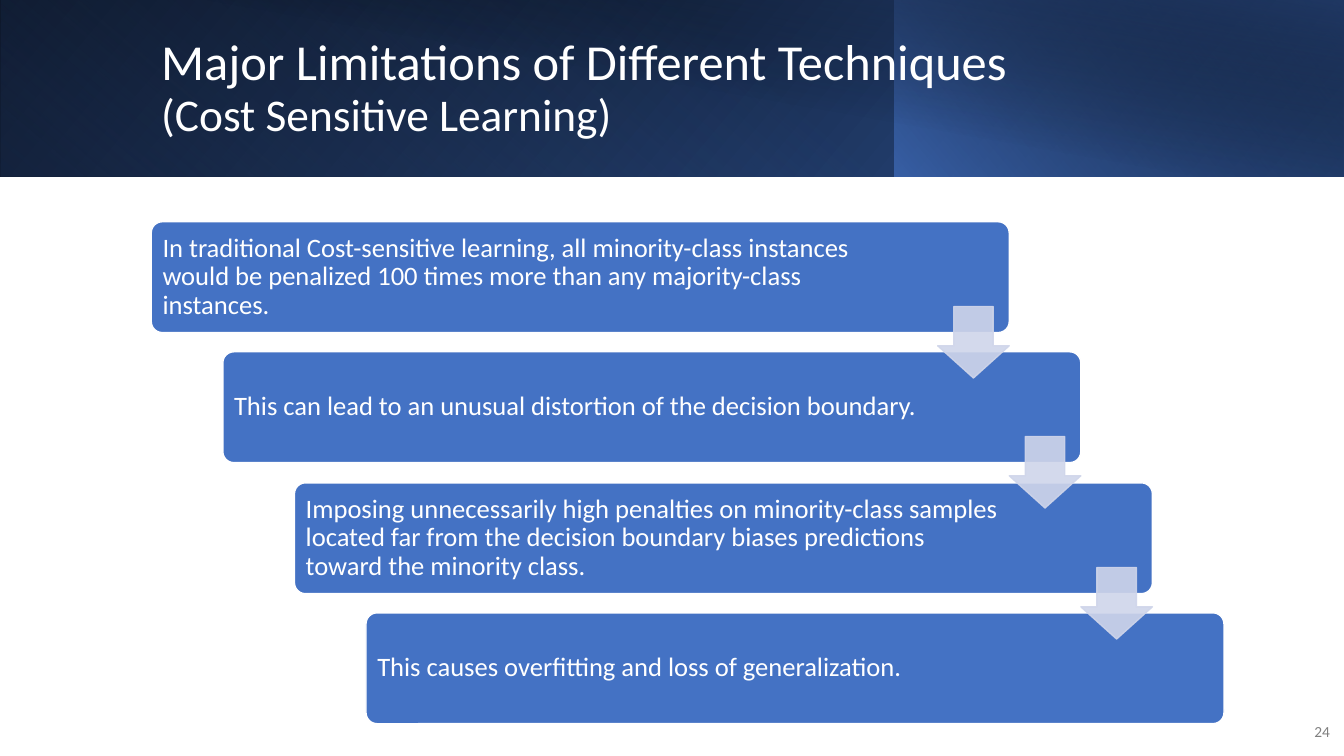
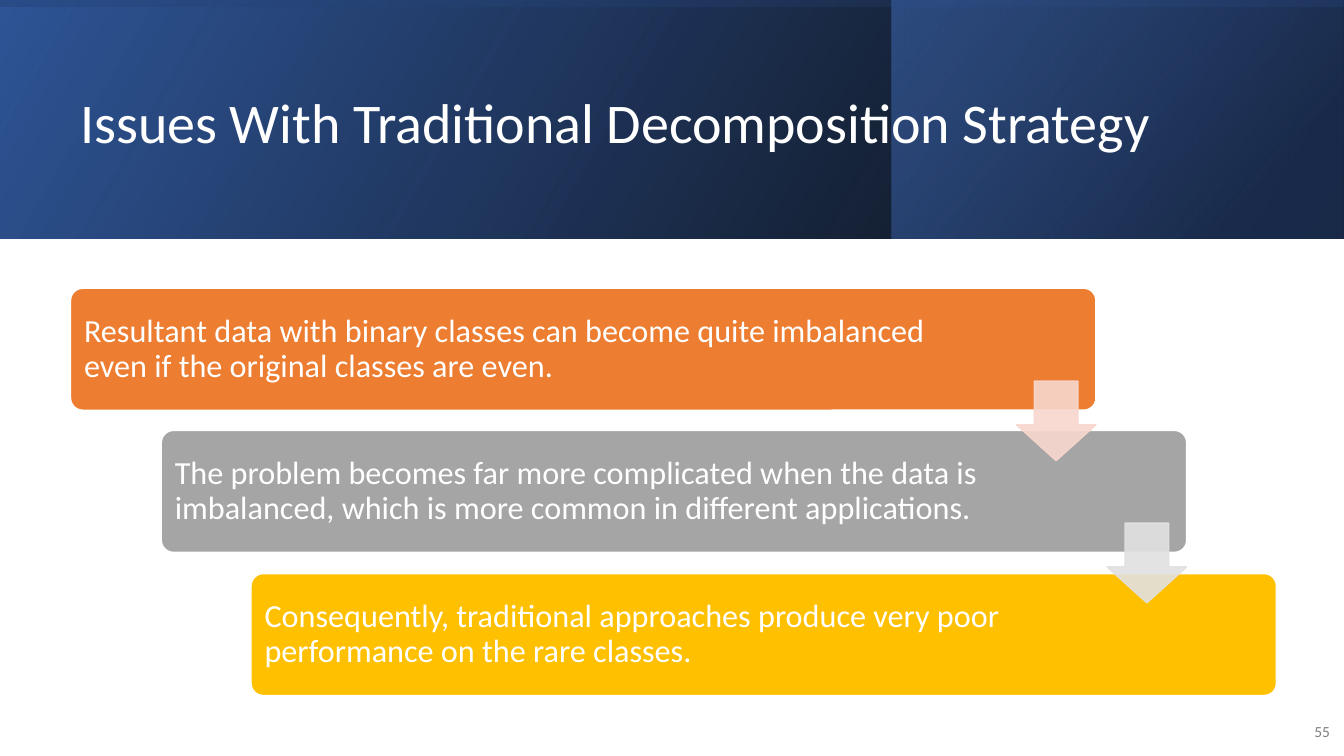
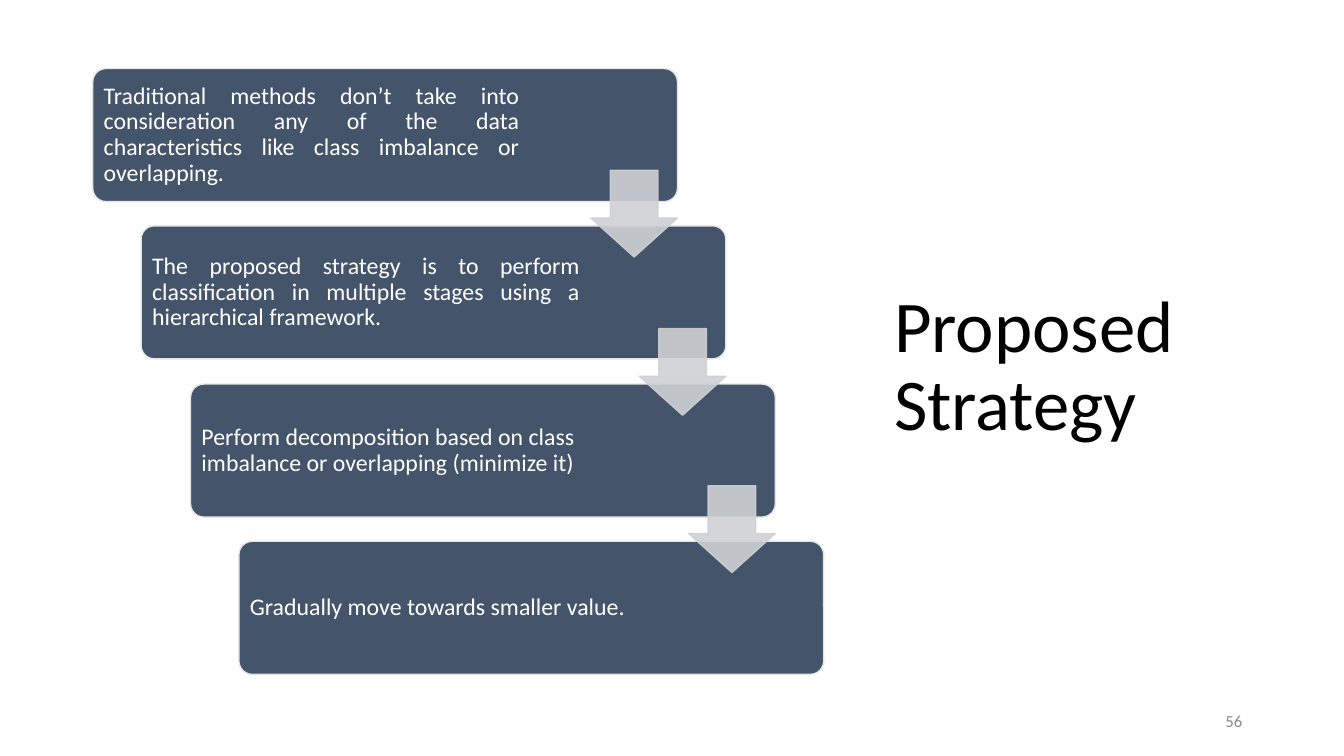
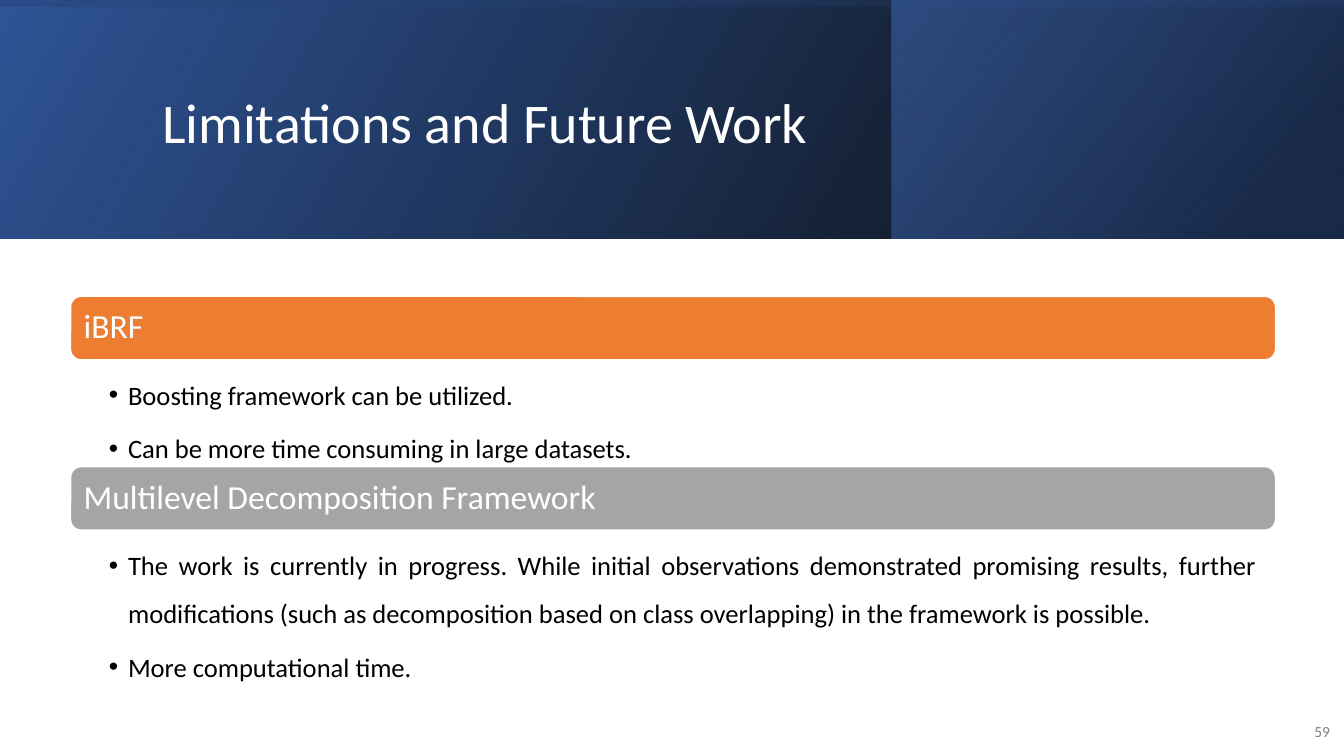
from lxml import etree
from pptx import Presentation
from pptx.dml.color import RGBColor
from pptx.enum.shapes import MSO_SHAPE
from pptx.enum.text import MSO_ANCHOR, PP_ALIGN
from pptx.oxml.ns import qn
from pptx.util import Inches, Pt

RECT, ROUNDED, ARROW = MSO_SHAPE.RECTANGLE, MSO_SHAPE.ROUNDED_RECTANGLE, MSO_SHAPE.DOWN_ARROW
TOP, MIDDLE = MSO_ANCHOR.TOP, MSO_ANCHOR.MIDDLE
LEFT, RIGHT, JUSTIFY = PP_ALIGN.LEFT, PP_ALIGN.RIGHT, PP_ALIGN.JUSTIFY

FONT = "Calibri"
WHITE, BLACK, GREY = "FFFFFF", "000000", "808080"
BLUE, DEEP_BLUE, NAVY = "4472C4", "2F5597", "203864"
ORANGE, SILVER, GOLD = "ED7D31", "A5A5A5", "FFC000"
SLATE, PALE_GREY = "44546A", "E7E6E6"
PAGE_WIDTH, PAGE_HEIGHT = 13.33, 7.5
CORNER_INSET = 0.29

LOW_BAND = (0, 0, PAGE_WIDTH, 1.75)
TALL_BAND = (0, 0, PAGE_WIDTH, 2.37)
LOW_LAYERS = [
    (0, PAGE_WIDTH, 0, True, 140, [(0, BLACK, 100), (100, DEEP_BLUE, 100)]),
    (0, 8.88, 180, True, 230, [(20, BLUE, 0), (100, NAVY, 55)]),
    (8.87, 4.46, 0, True, 220, [(0, BLUE, 66), (100, BLACK, 30)]),
    (0.5, 12.83, 0, False, 280, [(50, BLACK, 0), (99, NAVY, 52)]),
]
TALL_LAYERS = [
    (0, PAGE_WIDTH, 0, True, 330, [(0, BLACK, 96), (100, DEEP_BLUE, 100)]),
    (8.84, 4.48, 0, True, 320, [(19, NAVY, 68), (100, BLUE, 48)]),
    (0, PAGE_WIDTH, 270, True, 350, [(23, DEEP_BLUE, 16), (99, BLACK, 45)]),
]
CORNER_NUMBER = (12.8, 7.06, 0.49, 0.4)


def rgb(colour):
    """Turn a hex string into a colour."""
    return RGBColor.from_string(colour)


def inches(box):
    """Turn a box of numbers into lengths."""
    return [Inches(round(side, 2)) for side in box]


def set_alphas(shape, alphas):
    """Give the shape's colours, in order, their opacity in percent."""
    for colour, alpha in zip(shape.element.spPr.iter(qn("a:srgbClr")), alphas):
        if alpha < 100:
            etree.SubElement(colour, qn("a:alpha")).set("val", str(alpha * 1000))


def add_block(slide, kind, box, fill, line):
    """Add a solid preset shape with an outline."""
    block = slide.shapes.add_shape(kind, *inches(box))
    block.shadow.inherit = False
    block.fill.solid()
    block.fill.fore_color.rgb = rgb(fill)
    block.line.color.rgb = rgb(line)
    block.line.width = Pt(1)
    return block


def set_frame(shape, anchor, insets):
    """Set wrapping, anchor and left, top, right, bottom insets."""
    frame = shape.text_frame
    frame.word_wrap = True
    frame.vertical_anchor = anchor
    (frame.margin_left, frame.margin_top,
     frame.margin_right, frame.margin_bottom) = inches(insets)
    return frame


def add_run(paragraph, text, size, colour):
    """Append one styled run."""
    run = paragraph.add_run()
    run.text = text
    run.font.name = FONT
    run.font.size = Pt(size)
    run.font.color.rgb = rgb(colour)


def write_line(frame, text, size, colour, align=LEFT):
    """Write the single paragraph of a frame."""
    paragraph = frame.paragraphs[0]
    paragraph.alignment = align
    paragraph.line_spacing = 0.9
    add_run(paragraph, text, size, colour)


def add_band(slide, box, layers):
    """Stack translucent gradient layers into a header band."""
    left, top, _, height = box
    for offset, width, turn, flipped, angle, stops in layers:
        x, y, w, h = left + offset, top, width, height
        if turn == 270:
            x, y, w, h = x + (w - h) / 2, y + (h - w) / 2, h, w
        layer = slide.shapes.add_shape(RECT, *inches((x, y, w, h)))
        layer.shadow.inherit = False
        layer.line.fill.background()
        layer.rotation = turn
        if flipped:
            layer.element.spPr.find(qn("a:xfrm")).set("flipH", "1")
        layer.fill.gradient()
        layer.fill.gradient_angle = 360 - angle
        for stop, (position, colour, _) in zip(layer.fill.gradient_stops, stops):
            stop.position = position / 100
            stop.color.rgb = rgb(colour)
        set_alphas(layer, [alpha for _, _, alpha in stops])


def add_title(slide, box, lines, colour=WHITE):
    """Write a title from (text, size) lines."""
    title = slide.shapes.add_textbox(*inches(box))
    paragraph = set_frame(title, MIDDLE, (0.1, 0.05, 0.1, 0.05)).paragraphs[0]
    paragraph.line_spacing = 0.9
    for index, (text, size) in enumerate(lines):
        if index:
            paragraph.add_line_break()
        add_run(paragraph, text, size, colour)


def add_page_number(slide, number, box=CORNER_NUMBER, size=11, colour=GREY):
    """Write the page number at the right of its box."""
    label = slide.shapes.add_textbox(*inches(box))
    paragraph = set_frame(label, MIDDLE, (0.1, 0.05, 0.1, 0.05)).paragraphs[0]
    paragraph.alignment = RIGHT
    add_run(paragraph, number, size, colour)


def add_staircase(slide, box, share, steps, arrows, size, pad, line=WHITE):
    """Descend (text, text width, fill, align) steps joined by arrows."""
    left, top, total_width, total_height = box
    width, height = total_width * share[0], total_height * share[1]
    gaps = len(steps) - 1
    shift, drop = (total_width - width) / gaps, (total_height - height) / gaps
    corner = 0.1 * CORNER_INSET * height
    for index, (text, text_width, fill, align) in enumerate(steps):
        place = (left + index * shift, top + index * drop, width, height)
        step = add_block(slide, ROUNDED, place, fill, line)
        step.adjustments[0] = 0.1
        right_inset = width - 2 * corner - text_width + pad
        frame = set_frame(step, MIDDLE, (pad, pad, right_inset, pad))
        write_line(frame, text, size, WHITE, align)
    side = 0.65 * height
    for index, colour in enumerate(arrows):
        x = left + index * shift + width - side
        y = top + index * drop + (height + drop - side) / 2
        arrow = add_block(slide, ARROW, (x, y, side, side), colour, colour)
        arrow.adjustments[0], arrow.adjustments[1] = 0.55, 0.45
        set_alphas(arrow, [90, 90])


def add_topic(slide, box, heading, fill, points):
    """Place a heading bar with bulleted points below it."""
    left, top, width, height = box
    bar_height = 0.63
    bar = add_block(slide, ROUNDED, (left, top, width, bar_height), fill, WHITE)
    write_line(set_frame(bar, MIDDLE, (0.1, 0.1, 0.1, 0.1)), heading, 24, WHITE)
    body = slide.shapes.add_textbox(
        *inches((left, top + bar_height, width, height - bar_height)))
    frame = set_frame(body, TOP, (0.38, 0.03, 0.19, 0.03))
    for index, point in enumerate(points):
        paragraph = frame.add_paragraph() if index else frame.paragraphs[0]
        paragraph.alignment = JUSTIFY
        paragraph.line_spacing = 1.5
        paragraph.space_after = Pt(4)
        properties = paragraph._p.get_or_add_pPr()
        properties.set("marL", str(Inches(0.19)))
        properties.set("indent", str(-Inches(0.19)))
        etree.SubElement(properties, qn("a:buFont")).set("typeface", "Arial")
        etree.SubElement(properties, qn("a:buChar")).set("char", "•")
        add_run(paragraph, point, 19, BLACK)


def build_cost_sensitive(slide):
    """Limitations of cost sensitive learning."""
    add_band(slide, LOW_BAND, LOW_LAYERS)
    add_title(slide, (1.5, 0.32, 10.82, 1.13),
              [("Major Limitations of Different Techniques", 36),
               ("(Cost Sensitive Learning)", 32.4)])
    steps = [
        ("In traditional Cost-sensitive learning, all minority-class instances would be "
         "penalized 100 times more than any majority-class instances.", 7.23, BLUE, LEFT),
        ("This can lead to an unusual distortion of the decision boundary.",
         7.02, BLUE, LEFT),
        ("Imposing unnecessarily high penalties on minority-class samples located far from "
         "the decision boundary biases predictions toward the minority class.",
         7.03, BLUE, LEFT),
        ("This causes overfitting and loss of generalization.", 7.02, BLUE, LEFT),
    ]
    add_staircase(slide, (1.5, 2.2, 10.64, 4.98), (0.8, 0.22), steps,
                  ["CFD5EA"] * 3, 19, 0.08)
    add_page_number(slide, "24")


def build_decomposition_issues(slide):
    """Issues with the traditional decomposition strategy."""
    add_band(slide, TALL_BAND, TALL_LAYERS)
    add_title(slide, (0.7, 0.38, 11.44, 1.72),
              [("Issues With Traditional Decomposition Strategy", 40)])
    add_page_number(slide, "55")
    steps = [
        ("Resultant data with binary classes can become quite imbalanced even if the "
         "original classes are even.", 8.85, ORANGE, LEFT),
        ("The problem becomes far more complicated when the data is imbalanced, which is "
         "more common in different applications.", 8.4, SILVER, LEFT),
        ("Consequently, traditional approaches produce very poor performance on the rare "
         "classes.", 8.4, GOLD, LEFT),
    ]
    add_staircase(slide, (0.7, 2.86, 11.96, 4.04), (0.85, 0.3), steps,
                  ["F8D7CE", "E1E1E1"], 23, 0.1)


def build_proposed_strategy(slide):
    """The proposed strategy in four steps."""
    add_title(slide, (8.77, 0.6, 3.65, 6.1), [("Proposed Strategy", 52)], BLACK)
    add_page_number(slide, "56", (9.42, 6.95, 3, 0.4), 12, "8C8C8C")
    steps = [
        ("Traditional methods don’t take into consideration any of the data "
         "characteristics like class imbalance or overlapping.", 4.26, SLATE, JUSTIFY),
        ("The proposed strategy is to perform classification in multiple stages using a "
         "hierarchical framework.", 4.38, SLATE, JUSTIFY),
        ("Perform decomposition based on class imbalance or overlapping (minimize it)",
         4.38, SLATE, LEFT),
        ("Gradually move towards smaller value.", 4.38, SLATE, LEFT),
    ]
    add_staircase(slide, (0.92, 0.68, 7.25, 6.01), (0.8, 0.22), steps,
                  ["CFD1D4"] * 3, 17, 0.07, PALE_GREY)


def build_future_work(slide):
    """Limitations and future work by topic."""
    add_band(slide, TALL_BAND, TALL_LAYERS)
    add_title(slide, (1.51, 0.38, 10.63, 1.72), [("Limitations and Future Work", 40)])
    add_page_number(slide, "59")
    add_topic(slide, (0.7, 2.94, 11.95, 1.69), "iBRF", ORANGE,
              ["Boosting framework can be utilized.",
               "Can be more time consuming in large datasets."])
    add_topic(slide, (0.7, 4.63, 11.95, 2.18), "Multilevel Decomposition Framework", SILVER,
              ["The work is currently in progress. While initial observations demonstrated "
               "promising results, further modifications (such as decomposition based on "
               "class overlapping) in the framework is possible.",
               "More computational time."])


def main():
    """Build and save the presentation."""
    deck = Presentation()
    deck.slide_width, deck.slide_height = Inches(PAGE_WIDTH), Inches(PAGE_HEIGHT)
    for build in (build_cost_sensitive, build_decomposition_issues,
                  build_proposed_strategy, build_future_work):
        build(deck.slides.add_slide(deck.slide_layouts[6]))
    deck.save("out.pptx")


if __name__ == "__main__":
    main()
